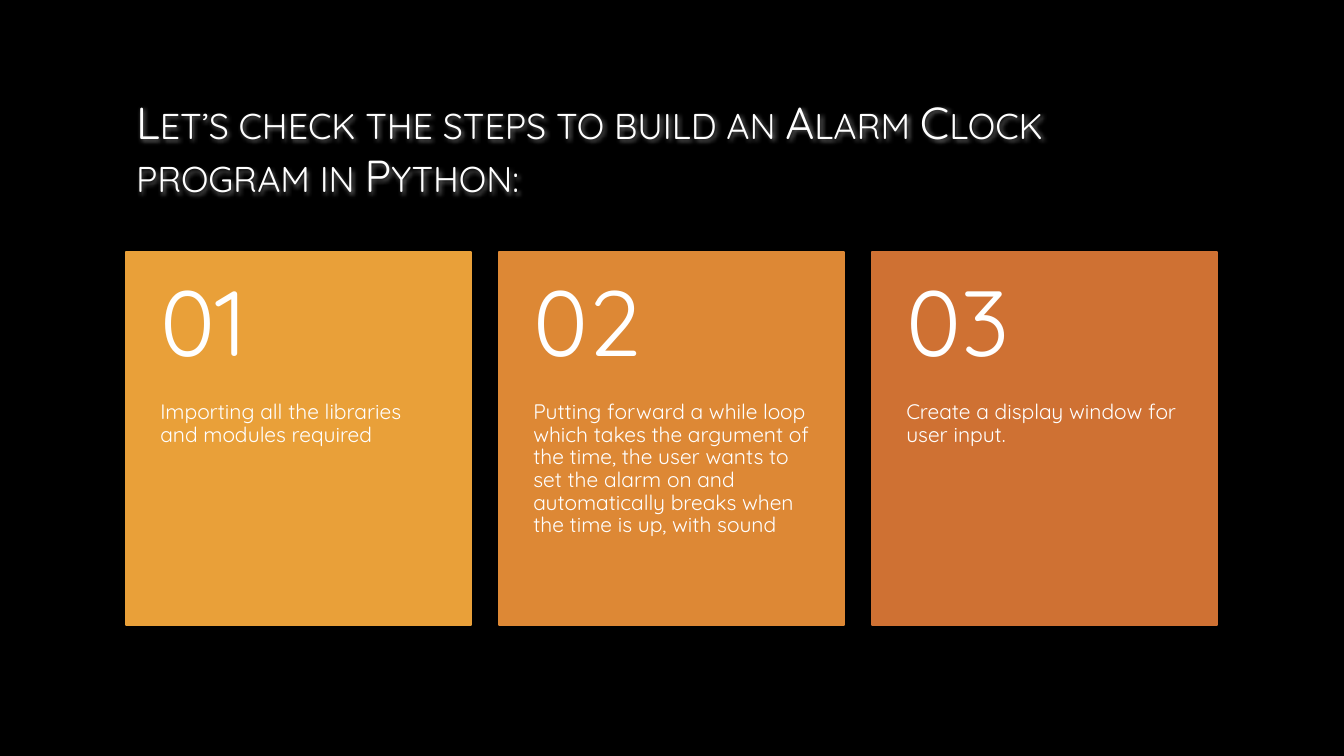
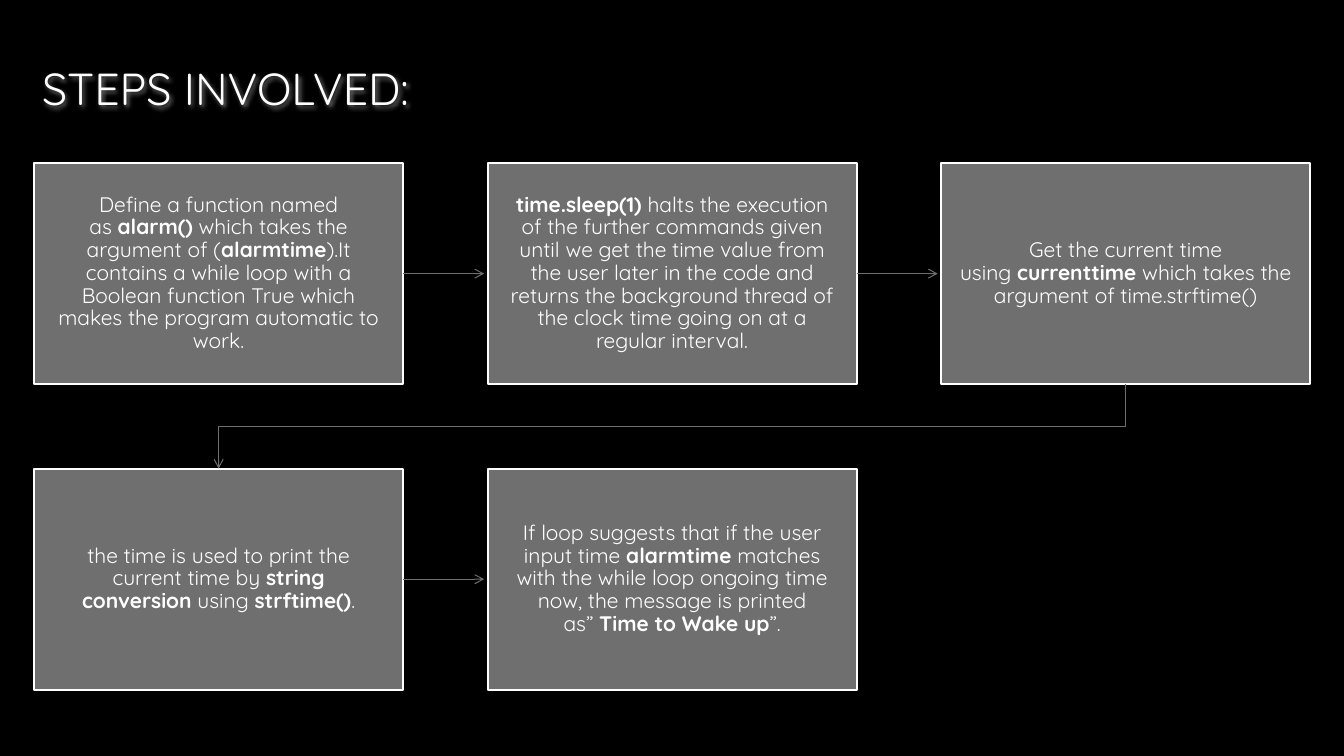
from lxml import etree
from pptx import Presentation
from pptx.dml.color import RGBColor
from pptx.enum.shapes import MSO_CONNECTOR, MSO_SHAPE
from pptx.enum.text import MSO_ANCHOR, PP_ALIGN
from pptx.oxml.ns import qn
from pptx.util import Cm, Pt

RECTANGLE = MSO_SHAPE.RECTANGLE
STRAIGHT, ELBOW = MSO_CONNECTOR.STRAIGHT, MSO_CONNECTOR.ELBOW
TOP, MIDDLE = MSO_ANCHOR.TOP, MSO_ANCHOR.MIDDLE
LEFT, CENTER = PP_ALIGN.LEFT, PP_ALIGN.CENTER

BLACK = RGBColor(0x00, 0x00, 0x00)
WHITE = RGBColor(0xFF, 0xFF, 0xFF)
GREY = RGBColor(0x6F, 0x6F, 0x6F)
AMBER = RGBColor(0xE9, 0xA0, 0x39)
ORANGE = RGBColor(0xDD, 0x88, 0x35)
RUST = RGBColor(0xCF, 0x71, 0x33)
FONT = "Quicksand"
TITLE_SIZE, NUMBER_SIZE, BODY_SIZE = Pt(32), Pt(66), Pt(15)

OVERVIEW_TITLE = "Let’s check the steps to build an Alarm Clock program in Python:"
OVERVIEW = [
    ("01", "Importing all the libraries and modules required", AMBER),
    ("02", "Putting forward a while loop which takes the argument of the time, "
           "the user wants to set the alarm on and automatically breaks when "
           "the time is up, with sound", ORANGE),
    ("03", "Create a display window for user input.", RUST),
]

STEPS_TITLE = "STEPS INVOLVED:"
BOLD_MARK = "**"
HARD_SPACE = chr(160)
STEPS = [
    "Define a function named as **alarm()** which takes the argument of "
    "(**alarmtime**).It contains a while loop with a Boolean function True "
    "which makes the program automatic to work.",
    "**time.sleep(1)** halts the execution of the further commands given until "
    "we get the time value from the user later in the code and returns the "
    "background thread of the clock time going on at a regular interval.",
    "Get the current time using **currenttime** which takes the argument "
    "of time.strftime()",
    "the time is used to print the current time by **string conversion** "
    "using **strftime()**.",
    "If loop suggests that if the user input time **alarmtime** matches with "
    "the while loop ongoing time now, the message is printed as” "
    "**Time to Wake up**”.",
]

TITLE_WIDTH, TITLE_HEIGHT = Cm(27.5), Cm(4.1)
CARD_LEFT, CARD_TOP = Cm(3.18), Cm(6.35)
CARD_WIDTH, CARD_HEIGHT, CARD_PITCH = Cm(8.7), Cm(9.4), Cm(9.4)
NUMBER_HEIGHT = Cm(3.76)
CARD_INSET, NUMBER_INSET = Cm(0.86), Cm(0.46)
STEP_LEFT, STEP_TOP = Cm(0.86), Cm(4.11)
STEP_WIDTH, STEP_HEIGHT = Cm(9.3), Cm(5.57)
STEP_PITCH_X, STEP_PITCH_Y = Cm(11.43), Cm(7.7)
STEP_INSETS = (Cm(0.46), Cm(0.48), Cm(0.46), Cm(0.48))
STEP_COLUMNS = 3
ARROW_GAP = Cm(0.09)


def write(shape, text, size, anchor, align=LEFT, insets=None, spacing=0.9):
    frame = shape.text_frame
    frame.word_wrap = True
    frame.vertical_anchor = anchor
    if insets:
        (frame.margin_left, frame.margin_top,
         frame.margin_right, frame.margin_bottom) = insets
    paragraph = frame.paragraphs[0]
    paragraph.alignment = align
    paragraph.line_spacing = spacing
    text = text.replace(" " + BOLD_MARK, HARD_SPACE + BOLD_MARK)
    text = text.replace(BOLD_MARK + " ", BOLD_MARK + HARD_SPACE)
    for index, part in enumerate(text.split(BOLD_MARK)):
        if part:
            run = paragraph.add_run()
            run.text = part
            run.font.size = size
            run.font.bold = index % 2 == 1
            run.font.name = FONT
            run.font.color.rgb = WHITE
    return paragraph.runs


def add_title(slide, text, left, top, small_caps=False):
    box = slide.shapes.add_textbox(left, top, TITLE_WIDTH, TITLE_HEIGHT)
    for run in write(box, text, TITLE_SIZE, MIDDLE, spacing=1.0):
        if small_caps:
            run.font._element.set("cap", "small")
    effects = etree.SubElement(box._element.spPr, qn("a:effectLst"))
    shadow = etree.SubElement(effects, qn("a:outerShdw"),
                              blurRad="12700", dist="17780", dir="2700000")
    etree.SubElement(shadow, qn("a:srgbClr"), val=str(GREY))


def add_panel(slide, left, top, width, height, fill, outline):
    panel = slide.shapes.add_shape(RECTANGLE, left, top, width, height)
    panel.shadow.inherit = False
    panel.fill.solid()
    panel.fill.fore_color.rgb = fill
    panel.line.color.rgb = outline
    panel.line.width = Pt(1.5)
    return panel


def add_arrow(slide, kind, source, source_side):
    arrow = slide.shapes.add_connector(kind, 0, 0, 0, 0)
    arrow.begin_connect(source, source_side)
    arrow.line.color.rgb = GREY
    arrow.line.width = Pt(0.75)
    properties = arrow._element.spPr
    etree.SubElement(properties.get_or_add_ln(), qn("a:tailEnd"), type="arrow")
    etree.SubElement(properties, qn("a:effectLst"))
    return arrow


def add_row_arrow(slide, source, target):
    arrow = add_arrow(slide, STRAIGHT, source, 3)
    arrow.end_x = target.left - ARROW_GAP
    arrow.end_y = target.top + target.height // 2


def add_return_arrow(slide, source, target):
    arrow = add_arrow(slide, ELBOW, source, 2)
    arrow.end_connect(target, 0)
    start_x = source.left + source.width // 2
    start_y = source.top + source.height
    span = start_x - (target.left + target.width // 2)
    drop = target.top - start_y
    arrow.left = start_x - span // 2 - drop // 2
    arrow.top = start_y + drop // 2 - span // 2
    arrow.width, arrow.height = drop, span
    transform = arrow._element.spPr.find(qn("a:xfrm"))
    for flip in ("flipH", "flipV"):
        transform.attrib.pop(flip, None)
    transform.set("rot", "5400000")


def build_overview(slide):
    add_title(slide, OVERVIEW_TITLE, CARD_LEFT, Cm(1.68), small_caps=True)
    for index, (number, text, color) in enumerate(OVERVIEW):
        left = CARD_LEFT + index * CARD_PITCH
        card = add_panel(slide, left, CARD_TOP, CARD_WIDTH, CARD_HEIGHT, color, color)
        write(card, text, BODY_SIZE, TOP,
              insets=(CARD_INSET, NUMBER_HEIGHT, CARD_INSET, CARD_INSET))
        heading = slide.shapes.add_textbox(left, CARD_TOP, CARD_WIDTH, NUMBER_HEIGHT)
        write(heading, number, NUMBER_SIZE, MIDDLE,
              insets=(CARD_INSET, NUMBER_INSET, CARD_INSET, NUMBER_INSET))


def build_steps(slide):
    add_title(slide, STEPS_TITLE, Cm(0.81), Cm(0.16))
    boxes = []
    for index, text in enumerate(STEPS):
        row, column = divmod(index, STEP_COLUMNS)
        box = add_panel(slide, STEP_LEFT + column * STEP_PITCH_X,
                        STEP_TOP + row * STEP_PITCH_Y,
                        STEP_WIDTH, STEP_HEIGHT, GREY, WHITE)
        write(box, text, BODY_SIZE, MIDDLE, CENTER, STEP_INSETS)
        boxes.append(box)
    for source, target in zip(boxes, boxes[1:]):
        if source.top == target.top:
            add_row_arrow(slide, source, target)
        else:
            add_return_arrow(slide, source, target)


def main():
    deck = Presentation()
    deck.slide_width, deck.slide_height = Cm(33.87), Cm(19.05)
    background = deck.slide_master.background.fill
    background.solid()
    background.fore_color.rgb = BLACK
    blank = deck.slide_layouts[6]
    for build in (build_overview, build_steps):
        build(deck.slides.add_slide(blank))
    deck.save("out.pptx")


if __name__ == "__main__":
    main()
